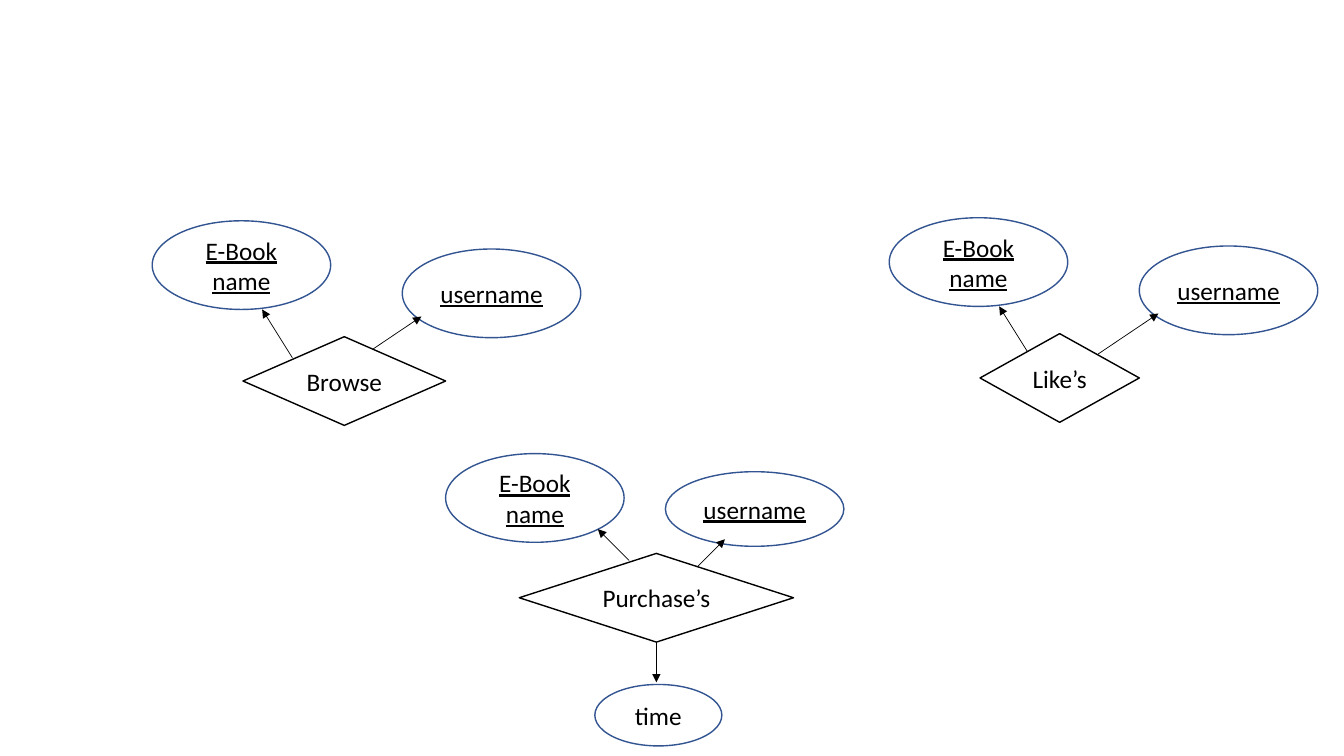
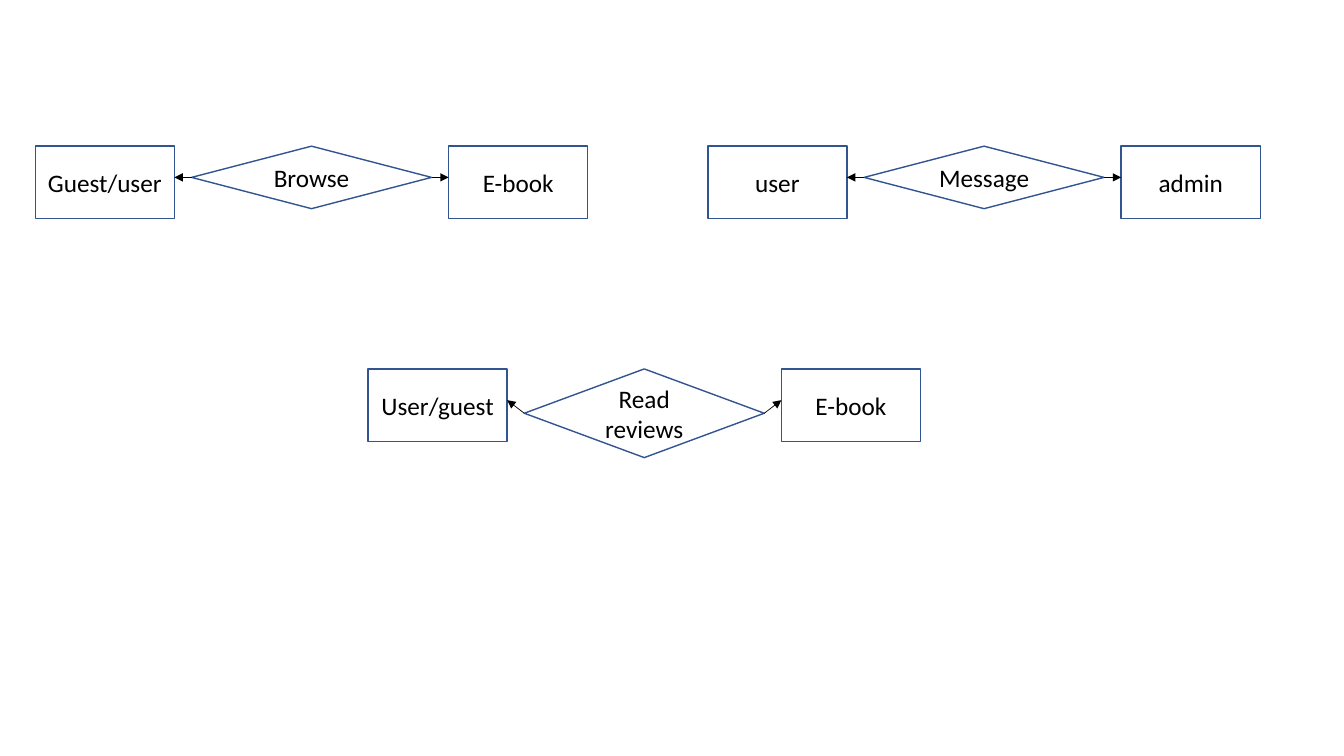
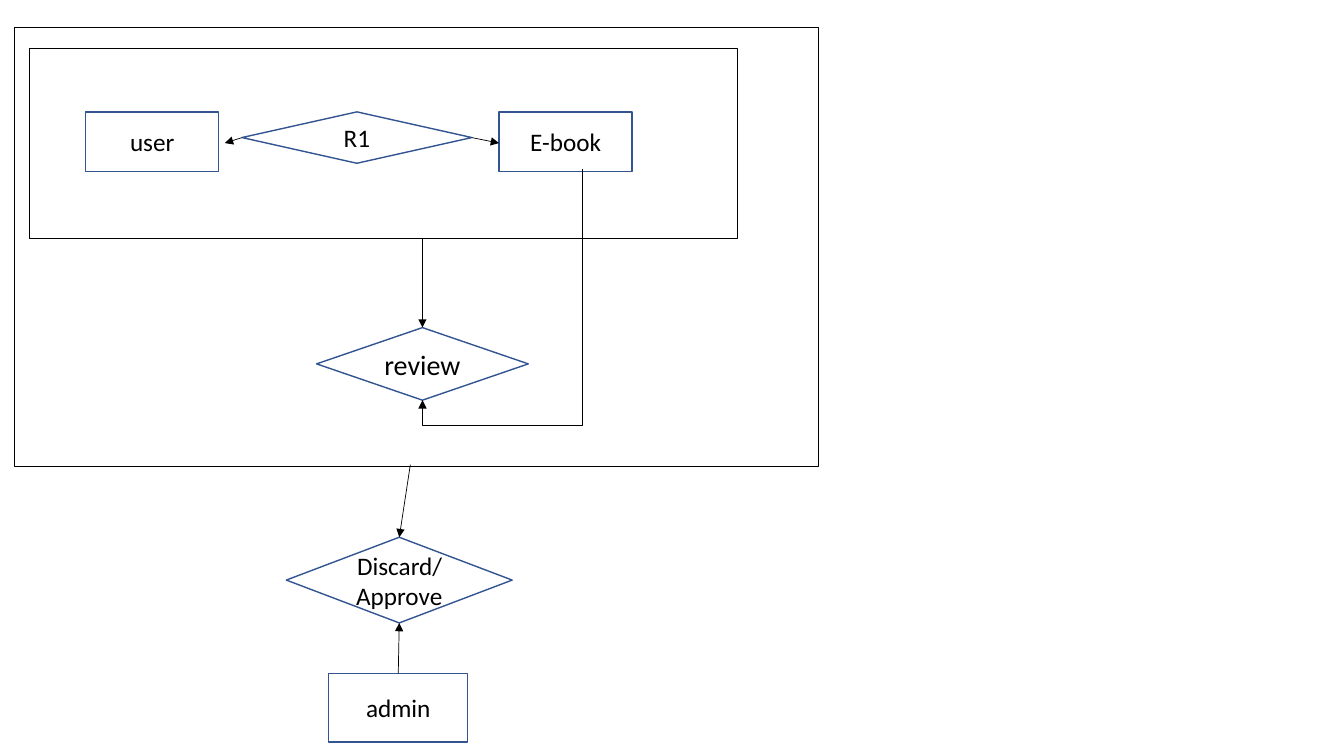
from lxml.etree import SubElement
from pptx import Presentation
from pptx.dml.color import RGBColor
from pptx.enum.shapes import MSO_CONNECTOR, MSO_SHAPE
from pptx.enum.text import MSO_ANCHOR, PP_ALIGN
from pptx.oxml.ns import qn
from pptx.util import Pt

PX = 9144  # EMU in one px, 100 px to the inch
BLACK = RGBColor(0x00, 0x00, 0x00)
WHITE = RGBColor(0xFF, 0xFF, 0xFF)
BLUE = RGBColor(0x32, 0x54, 0x91)
FONT = "Calibri"
TOP, LEFT, BOTTOM, RIGHT = range(4)


class Diagram:
    """Holds the deck, its current slide and the entity-relationship style."""

    def __init__(self, width, height):
        self.deck = Presentation()
        self.deck.slide_width = width * PX
        self.deck.slide_height = height * PX
        self.slide = None

    def new_slide(self):
        self.slide = self.deck.slides.add_slide(self.deck.slide_layouts[6])

    def node(self, kind, box, text="", line=BLUE, weight=1, fill=None, size=18, underline=False):
        shape = self.slide.shapes.add_shape(kind, *(length * PX for length in box))
        shape.shadow.inherit = False
        if fill is None:
            shape.fill.background()
        else:
            shape.fill.solid()
            shape.fill.fore_color.rgb = fill
        shape.line.color.rgb = line
        shape.line.width = Pt(weight)
        if text:
            frame = shape.text_frame
            frame.word_wrap = True
            frame.vertical_anchor = MSO_ANCHOR.MIDDLE
            para = frame.paragraphs[0]
            para.text = text
            para.alignment = PP_ALIGN.CENTER
            para.font.name = FONT
            para.font.size = Pt(size)
            para.font.color.rgb = BLACK
            para.font.underline = underline
        return shape

    def entity(self, text, box):
        return self.node(MSO_SHAPE.RECTANGLE, box, text, fill=WHITE)

    def relation(self, text, box, **style):
        return self.node(MSO_SHAPE.DIAMOND, box, text, **style)

    def attribute(self, text, box, key=True):
        return self.node(MSO_SHAPE.OVAL, box, text, underline=key)

    def frame(self, box):
        return self.node(MSO_SHAPE.RECTANGLE, box, line=BLACK, weight=0.75)

    def connector(self, kind, start, end):
        ends = (length * PX for length in (*start, *end))
        connector = self.slide.shapes.add_connector(kind, *ends)
        connector.line.color.rgb = BLACK
        connector.line.width = Pt(0.5)
        SubElement(connector.line._get_or_add_ln(), qn("a:tailEnd"), type="triangle")
        SubElement(connector._element.spPr, qn("a:effectLst"))
        return connector

    def arrow(self, start, end):
        """Draw an arrow; each end is a point or a (shape, side) pair."""
        points = [(0, 0) if hasattr(place[0], "shape_id") else place for place in (start, end)]
        connector = self.connector(MSO_CONNECTOR.STRAIGHT, *points)
        if hasattr(start[0], "shape_id"):
            connector.begin_connect(*start)
        if hasattr(end[0], "shape_id"):
            connector.end_connect(*end)

    def under_arrow(self, start, end, turn):
        """Draw an elbow that drops to the height turn, runs left and rises to end."""
        width, height = start[0] - end[0], end[1] - start[1]
        left = (start[0] + end[0] - height) // 2
        top = (start[1] + end[1] - width) // 2
        connector = self.connector(MSO_CONNECTOR.ELBOW, (left, top), (left + height, top + width))
        properties = connector._element.spPr
        properties.find(qn("a:xfrm")).set("rot", "5400000")
        geometry = properties.find(qn("a:prstGeom"))
        guides = geometry.find(qn("a:avLst"))
        if guides is None:
            guides = SubElement(geometry, qn("a:avLst"))
        ratio = round((turn - start[1]) / height * 100000)
        SubElement(guides, qn("a:gd"), name="adj1", fmla=f"val {ratio}")

    def keyed_relation(self, text, box, book, user, book_arrow, user_arrow):
        """Draw a relation with its two key attributes."""
        self.attribute("username", user)
        self.attribute("E-Book name", book)
        self.arrow(*book_arrow)
        self.arrow(*user_arrow)
        return self.relation(text, box, line=BLACK, fill=WHITE)

    def linked_entities(self, texts, left, top, entity_size, relation_size):
        """Draw entity, relation, entity in a row, with arrows to both entities."""
        first, verb, second = texts
        second_left = left + 410
        self.entity(first, (left, top, *entity_size))
        self.entity(second, (second_left, top, *entity_size))
        diamond = self.relation(verb, (left + 155, top, *relation_size))
        return diamond, (left + 138, second_left)

    def row(self, texts, left, top, entity_size=(138, 72), relation_size=(238, 62)):
        diamond, tips = self.linked_entities(texts, left, top, entity_size, relation_size)
        for side, tip in zip((LEFT, RIGHT), tips):
            self.arrow((diamond, side), (tip, top + 31))


def attribute_slide(diagram):
    diagram.new_slide()
    for text, left, top, width in (("Like’s", 972, 331, 158), ("Browse", 241, 334, 201)):
        diagram.keyed_relation(
            text,
            (left, top, width, 88),
            book=(left - 90, top - 115, 177, 88),
            user=(left + 158, top - 87, 177, 88),
            book_arrow=((left + 49, top + 21), (left + 19, top - 27)),
            user_arrow=((left + 116, top + 21), (left + 177, top - 20)),
        )
    purchase = diagram.keyed_relation(
        "Purchase’s",
        (515, 549, 272, 88),
        book=(442, 450, 177, 88),
        user=(660, 468, 177, 74),
        book_arrow=((624, 556), (593, 525)),
        user_arrow=((690, 564), (719, 535)),
    )
    diagram.attribute("time", (590, 679, 126, 61), key=False)
    diagram.arrow((purchase, BOTTOM), (651, 677))


def relation_slide(diagram):
    diagram.new_slide()
    diagram.row(("Guest/user", "Browse", "E-book"), 35, 145)
    diagram.row(("user", "Message", "admin"), 702, 145)
    diagram.row(("User/guest", "Read reviews", "E-book"), 365, 366, relation_size=(238, 88))


def review_slide(diagram):
    diagram.new_slide()
    diagram.row(("user", "R1", "E-book"), 85, 111, entity_size=(132, 59), relation_size=(228, 51))
    review = diagram.relation("review", (314, 325, 210, 72), size=20)
    diagram.arrow((419, 237), (review, TOP))
    diagram.under_arrow((578, 168), (419, 397), turn=422)
    diagram.frame((29, 48, 703, 189))
    diagram.frame((14, 27, 798, 436))
    admin = diagram.entity("admin", (326, 668, 138, 68))
    decision = diagram.relation("Discard/Approve", (284, 533, 224, 85))
    diagram.arrow((admin, TOP), (decision, BOTTOM))
    diagram.arrow((407, 461), (decision, TOP))


def main():
    diagram = Diagram(1333, 750)
    attribute_slide(diagram)
    relation_slide(diagram)
    review_slide(diagram)
    diagram.deck.save("out.pptx")


if __name__ == "__main__":
    main()
